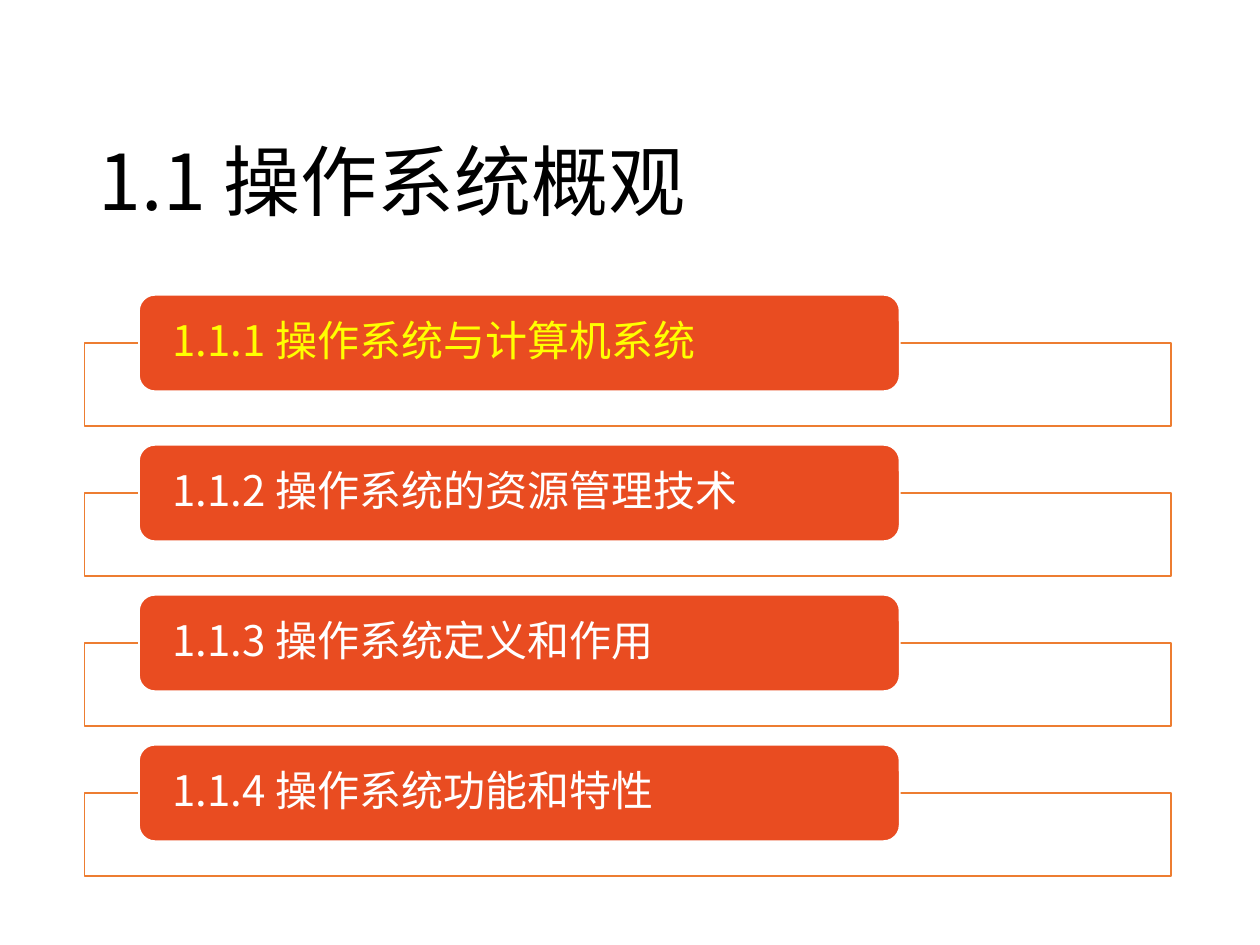
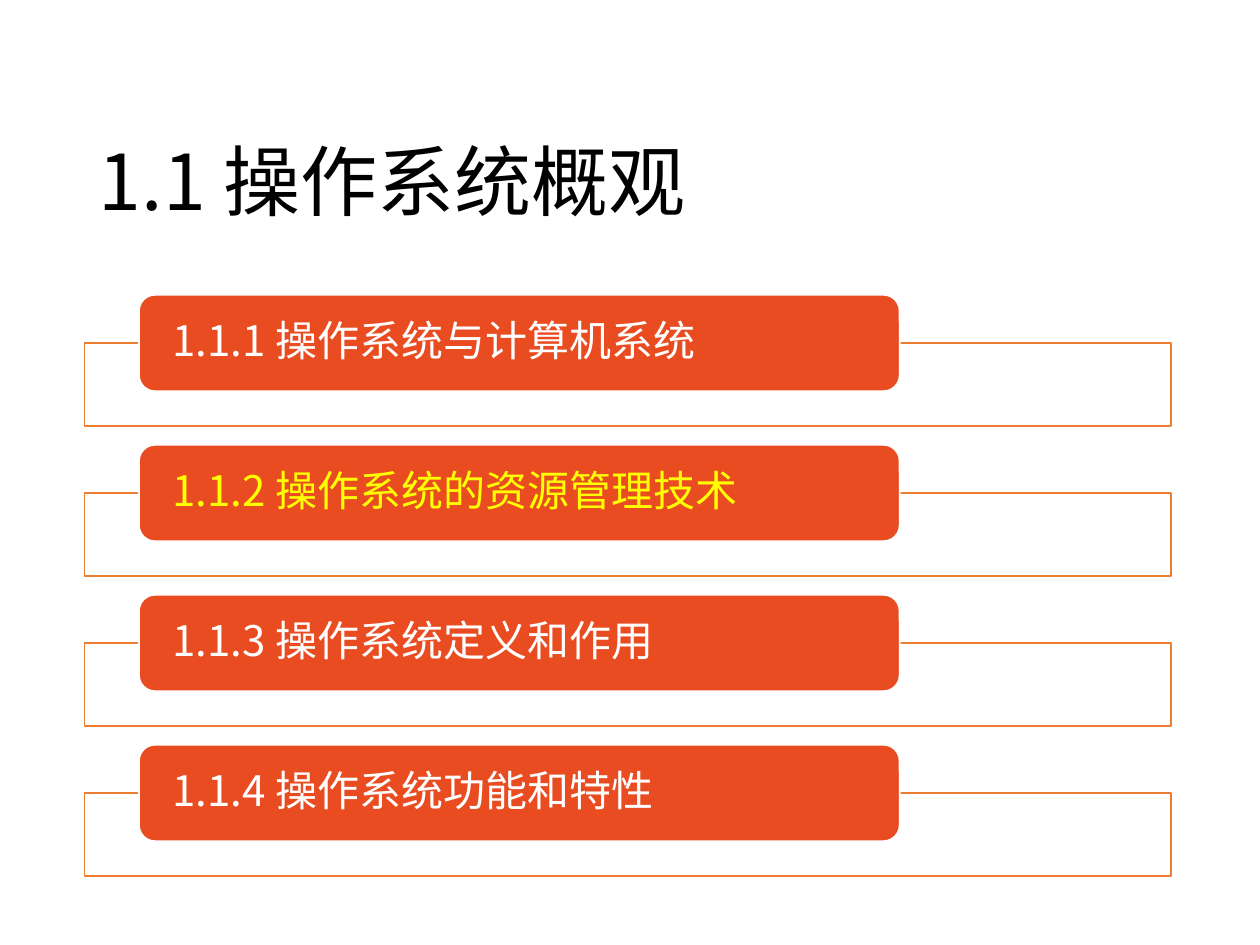
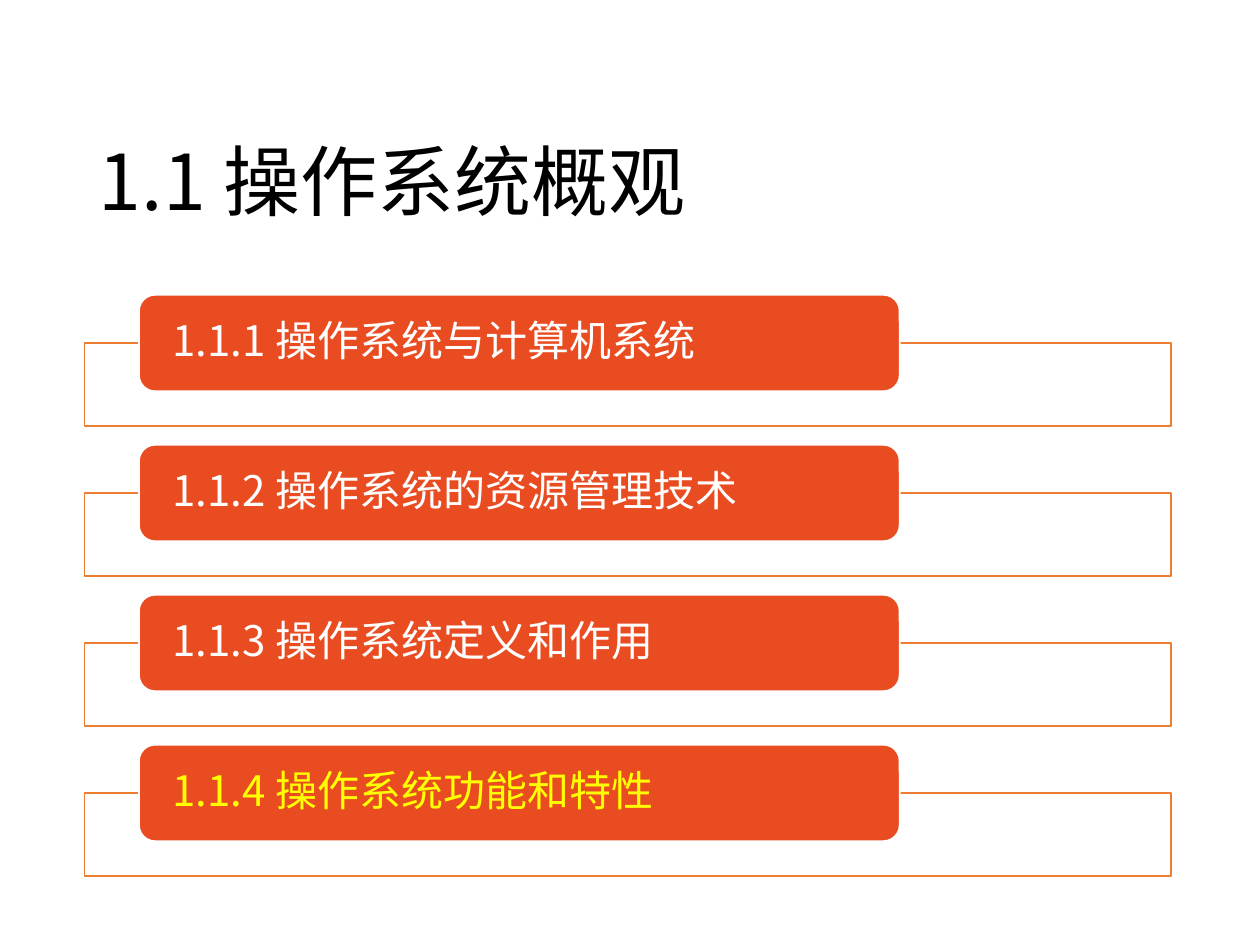
from lxml import etree
from pptx import Presentation
from pptx.dml.color import RGBColor
from pptx.enum.shapes import MSO_SHAPE
from pptx.enum.text import MSO_ANCHOR, PP_ALIGN
from pptx.oxml.ns import qn
from pptx.util import Pt

RECTANGLE = MSO_SHAPE.RECTANGLE
ROUNDED = MSO_SHAPE.ROUNDED_RECTANGLE
MIDDLE, BOTTOM = MSO_ANCHOR.MIDDLE, MSO_ANCHOR.BOTTOM
LEFT = PP_ALIGN.LEFT

FONT = "Noto Sans CJK SC"
BLACK, WHITE, YELLOW = "000000", "FFFFFF", "FFFF00"
LABEL_FILL, FRAME_LINE = "E94C21", "ED7D31"

TITLE = "1.1 操作系统概观"
SECTIONS = [
    "1.1.1 操作系统与计算机系统",
    "1.1.2 操作系统的资源管理技术",
    "1.1.3 操作系统定义和作用",
    "1.1.4 操作系统功能和特性",
]
CURRENT_SECTIONS = [0, 1, 3]

FIRST_TOP, PITCH = 168.5, 85.7
LABEL_LEFT, LABEL_WIDTH, LABEL_HEIGHT = 79.4, 434.7, 55.1
FRAME_LEFT, FRAME_WIDTH, FRAME_HEIGHT = 48.4, 621, 47.6


def colour(value):
    return RGBColor.from_string(value)


def write(box, text, size, text_colour, anchor, side_margin, end_margin):
    frame = box.text_frame
    frame.word_wrap = True
    frame.vertical_anchor = anchor
    frame.margin_left = frame.margin_right = Pt(side_margin)
    frame.margin_top = frame.margin_bottom = Pt(end_margin)
    para = frame.paragraphs[0]
    para.alignment = LEFT
    para.line_spacing = 0.9
    span = para.add_run()
    span.text = text
    span.font.size = Pt(size)
    span.font.color.rgb = colour(text_colour)
    span.font.name = FONT
    east_asian = etree.SubElement(span.font._element, qn("a:ea"))
    east_asian.set("typeface", FONT)


def add_box(page, kind, left, top, width, height, fill, line):
    box = page.shapes.add_shape(kind, Pt(left), Pt(top), Pt(width), Pt(height))
    box.shadow.inherit = False
    box.fill.solid()
    box.fill.fore_color.rgb = colour(fill)
    box.line.color.rgb = colour(line)
    box.line.width = Pt(1)
    return box


def set_opacity(box, percent):
    fill_colour = box._element.spPr.find(qn("a:solidFill"))[0]
    alpha = etree.SubElement(fill_colour, qn("a:alpha"))
    alpha.set("val", str(percent * 1000))


def add_title(page):
    box = page.shapes.add_textbox(Pt(49.5), Pt(28.8), Pt(621), Pt(104.4))
    write(box, TITLE, 44, BLACK, BOTTOM, 7.2, 3.6)


def add_section(page, top, text, text_colour):
    """Add a label whose frame starts at half the label's height."""
    frame = add_box(page, RECTANGLE, FRAME_LEFT, top + LABEL_HEIGHT / 2,
                    FRAME_WIDTH, FRAME_HEIGHT, WHITE, FRAME_LINE)
    set_opacity(frame, 90)
    label = add_box(page, ROUNDED, LABEL_LEFT, top, LABEL_WIDTH, LABEL_HEIGHT,
                    LABEL_FILL, WHITE)
    write(label, text, 24, text_colour, MIDDLE, 16.5, 0)


def add_outline_page(deck, current):
    page = deck.slides.add_slide(deck.slide_layouts[6])
    add_title(page)
    for index, text in enumerate(SECTIONS):
        text_colour = YELLOW if index == current else WHITE
        add_section(page, FIRST_TOP + index * PITCH, text, text_colour)


def main():
    deck = Presentation()
    deck.slide_width, deck.slide_height = Pt(720), Pt(540)
    for current in CURRENT_SECTIONS:
        add_outline_page(deck, current)
    deck.save("out.pptx")


if __name__ == "__main__":
    main()
